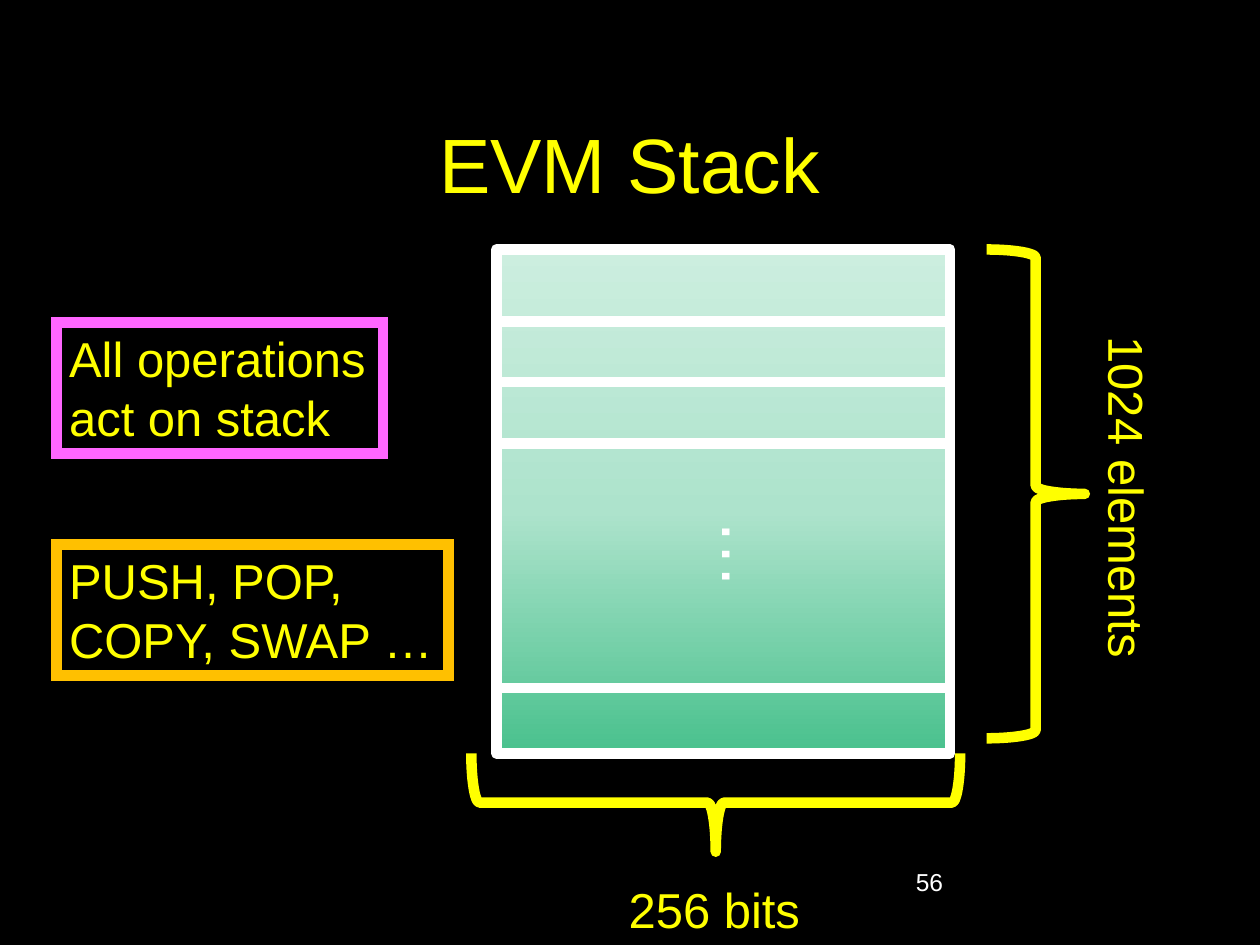
from copy import deepcopy

from lxml import etree
from pptx import Presentation
from pptx.dml.color import RGBColor
from pptx.enum.shapes import MSO_CONNECTOR, MSO_SHAPE
from pptx.enum.text import MSO_ANCHOR, PP_ALIGN
from pptx.oxml import parse_xml
from pptx.oxml.ns import qn
from pptx.util import Inches, Pt

LINE = MSO_CONNECTOR.STRAIGHT
RECT, BRACE = MSO_SHAPE.RECTANGLE, MSO_SHAPE.RIGHT_BRACE
LEFT, CENTER = PP_ALIGN.LEFT, PP_ALIGN.CENTER
MIDDLE = MSO_ANCHOR.MIDDLE

COLORS = {
    "black": "000000", "white": "FFFFFF", "yellow": "FFFF00",
    "pink": "FF66FF", "orange": "FFC000",
    "deep": "49C18D", "mint": "ADE3CC", "pale": "CCEEDF",
}
WIDTH, HEIGHT = Inches(10), Inches(7.5)
COLS, ROWS = 100, 75  # square grid cells
STROKE = Pt(6)
NS = "http://schemas.openxmlformats.org/drawingml/2006/main"


def rgb(name):
    return RGBColor.from_string(COLORS[name])


def place(col, row, wide, high):
    return (round(WIDTH * col / COLS), round(HEIGHT * row / ROWS),
            round(WIDTH * wide / COLS), round(HEIGHT * high / ROWS))


def stroke(shape, color):
    shape.line.color.rgb = rgb(color)
    shape.line.width = STROKE


def write(frame, text, size, color="yellow", align=LEFT):
    frame.text = text
    for para in frame.paragraphs:
        para.alignment = align
        for run in para.runs:
            run.font.name = "Arial"
            run.font.size = Pt(size)
            run.font.color.rgb = rgb(color)


def add_text(slide, box, text, size, color="yellow", align=LEFT, turn=0):
    shape = slide.shapes.add_textbox(*place(*box))
    shape.rotation = turn
    shape.text_frame.word_wrap = False
    write(shape.text_frame, text, size, color, align)
    return shape


def add_label(slide, box, text, edge):
    label = add_text(slide, box, text, 28)
    label.fill.solid()
    label.fill.fore_color.rgb = rgb("black")
    stroke(label, edge)
    # Square corners
    etree.SubElement(label.line._get_or_add_ln(), qn("a:miter"), lim="800000")


def add_brace(slide, box, turn=0):
    brace = slide.shapes.add_shape(BRACE, *place(*box))
    brace.rotation = turn
    brace.shadow.inherit = False
    brace.fill.background()
    stroke(brace, "yellow")


def add_rule(slide, col, row, wide):
    left, top, width, _ = place(col, row, wide, 0)
    rule = slide.shapes.add_connector(LINE, left, top, left + width, top)
    stroke(rule, "white")
    etree.SubElement(rule._element.spPr, qn("a:effectLst"))


def shade(shape, names):
    """Fill from bottom to top with three colours."""
    fill = shape.fill
    fill.gradient()
    fill.gradient_angle = 90
    first = shape._element.spPr.find(".//" + qn("a:gs"))
    first.addnext(deepcopy(first))
    for stop, name, spot in zip(fill.gradient_stops, names, (0, 0.48, 1)):
        stop.color.rgb = rgb(name)
        stop.position = spot


def add_stack(slide):
    col, row, wide, high = 39.4, 19.8, 36, 40
    stack = slide.shapes.add_shape(RECT, *place(col, row, wide, high))
    stack.shadow.inherit = False
    shade(stack, ("deep", "mint", "pale"))
    stroke(stack, "white")
    for edge in (25.5, 30.3, 35.2, 54.6):
        add_rule(slide, col, edge, wide)

    # Dots for the elements between, with a soft text shadow
    dots = add_text(slide, (55.7, 40.2, 7.6, 7.7), "…", 40, "white", turn=90)
    font = dots.text_frame.paragraphs[0].runs[0].font
    font._element.find(qn("a:solidFill")).addnext(parse_xml(
        f'<a:effectLst xmlns:a="{NS}"><a:outerShdw blurRad="38100" '
        'dist="38100" dir="2700000"><a:srgbClr val="000000">'
        '<a:alpha val="43000"/></a:srgbClr></a:outerShdw></a:effectLst>'))


def main():
    deck = Presentation()
    deck.slide_width, deck.slide_height = WIDTH, HEIGHT
    slide = deck.slides.add_slide(deck.slide_layouts[5])
    slide.background.fill.solid()
    slide.background.fill.fore_color.rgb = rgb("black")

    # Title and page number
    title = slide.shapes.title
    title.left, title.top, title.width, title.height = place(7.5, 6.7, 85, 12.5)
    title.text_frame.vertical_anchor = MIDDLE
    write(title.text_frame, "EVM Stack", 44, align=CENTER)
    add_text(slide, (71.7, 68.3, 20.8, 5), "56", 14, "white")

    # Dimensions of the stack
    add_brace(slide, (78.3, 19.8, 7.8, 38.8))
    add_text(slide, (75.6, 36.6, 27.8, 5.7), "1024 elements", 28,
             align=CENTER, turn=90)
    add_brace(slide, (52.9, 44.3, 7.8, 38.8), turn=90)
    add_text(slide, (48.9, 69.3, 15.8, 5.7), "256 bits", 28)

    # Operations
    add_label(slide, (4.5, 25.6, 25.9, 10.4),
              "All operations\nact on stack", "pink")
    add_label(slide, (4.5, 43.2, 31.1, 10.4),
              "PUSH, POP,\nCOPY, SWAP …", "orange")

    add_stack(slide)
    deck.save("out.pptx")


if __name__ == "__main__":
    main()
